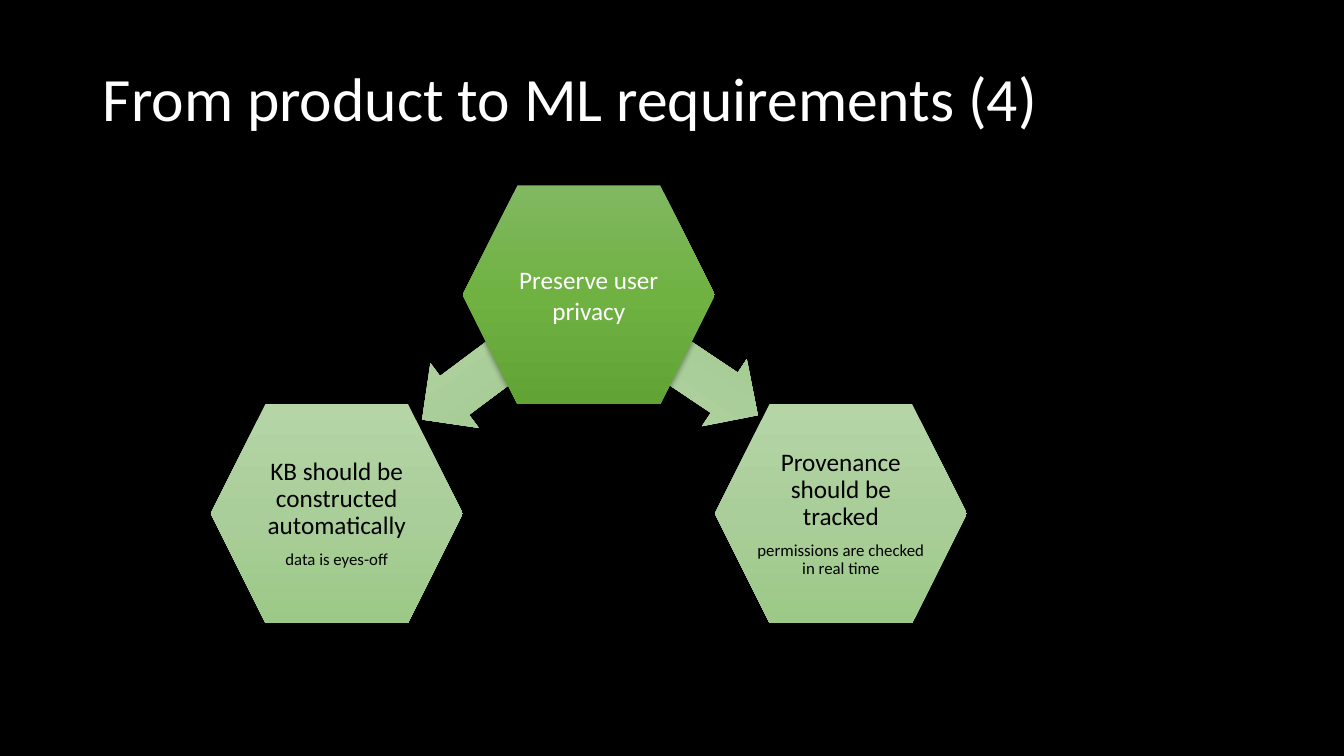
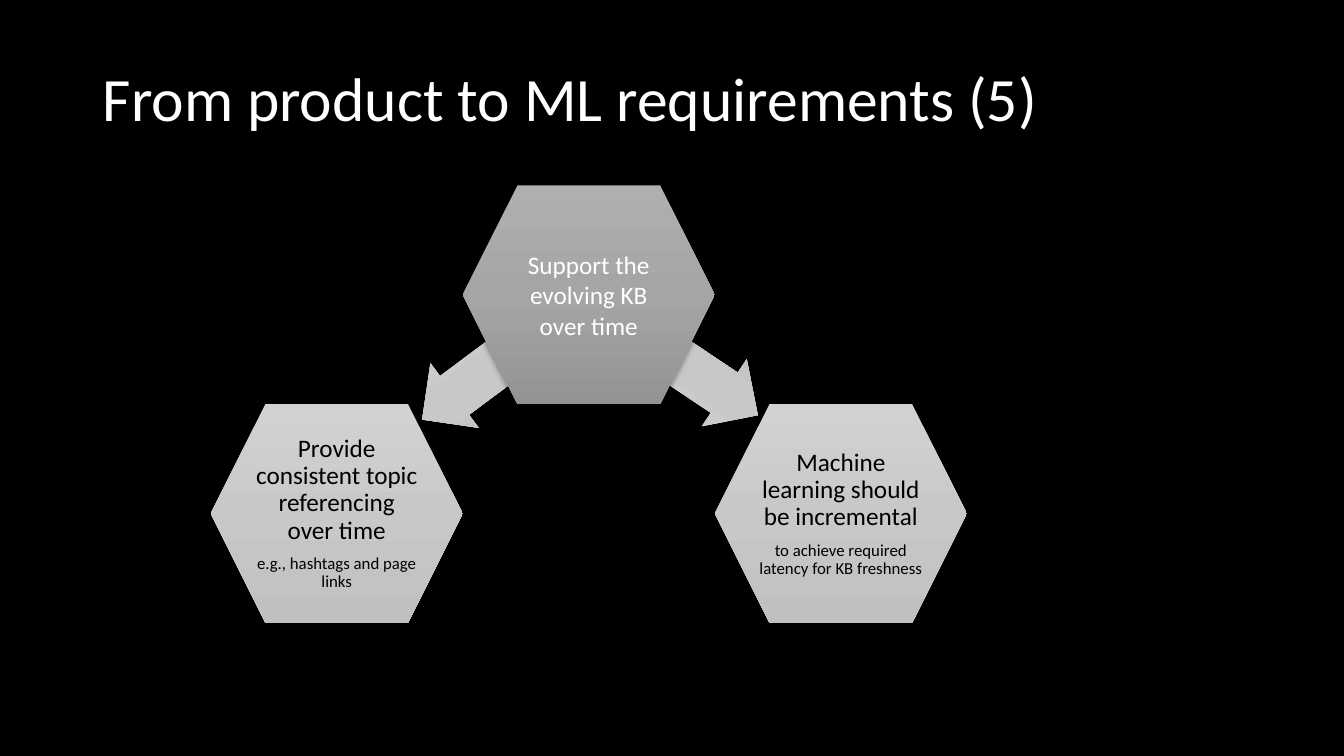
from copy import deepcopy
from dataclasses import dataclass

from lxml import etree
from pptx import Presentation
from pptx.dml.color import RGBColor
from pptx.enum import shapes, text
from pptx.oxml import ns
from pptx.util import Inches, Pt

FONT = "Calibri"
BLACK = RGBColor(0x00, 0x00, 0x00)
WHITE = RGBColor(0xFF, 0xFF, 0xFF)
GREEN = (RGBColor(0x81, 0xB8, 0x61), RGBColor(0x6F, 0xB2, 0x42), RGBColor(0x62, 0xA3, 0x36))
PALE_GREEN = (RGBColor(0xB5, 0xD5, 0xA7), RGBColor(0xAA, 0xCE, 0x9A), RGBColor(0x9C, 0xC9, 0x87))
GRAY = (RGBColor(0xAF, 0xAF, 0xAF), RGBColor(0xA5, 0xA5, 0xA5), RGBColor(0x93, 0x93, 0x93))
PALE_GRAY = (RGBColor(0xD2, 0xD2, 0xD2), RGBColor(0xC8, 0xC8, 0xC8), RGBColor(0xC0, 0xC0, 0xC0))

HEX_WIDTH, HEX_HEIGHT = 2.5, 2.17
HEX_LEFT, HEX_TOP = 2.09, 1.84
TITLE_ONLY = 5


@dataclass
class Requirement:
    heading: str
    detail: str
    inset: float


@dataclass
class Diagram:
    title: str
    goal: str
    requirements: tuple[Requirement, Requirement]
    strong: tuple[RGBColor, ...]
    pale: tuple[RGBColor, ...]


@dataclass
class Arrow:
    left: float
    width: float
    rotation: float


ARROWS = (Arrow(4.07, 1.18, 323.3), Arrow(6.5, 1.11, 213.8))
DIAGRAMS = (
    Diagram(
        "From product to ML requirements (4)",
        "Preserve user privacy",
        (
            Requirement("KB should be constructed automatically", "data is eyes-off", 0.1),
            Requirement("Provenance should be tracked",
                        "permissions are checked\vin real time", 0),
        ),
        GREEN,
        PALE_GREEN,
    ),
    Diagram(
        "From product to ML requirements (5)",
        "Support the evolving KB over time",
        (
            Requirement("Provide consistent topic referencing over time",
                        "e.g., hashtags and page links", 0.04),
            Requirement("Machine learning should be incremental",
                        "to achieve required latency for KB freshness", 0),
        ),
        GRAY,
        PALE_GRAY,
    ),
)


def write(para, words: str, *, size: float, color: RGBColor = BLACK,
          align=text.PP_ALIGN.CENTER, spacing: float = 0.9, after: float = 0) -> None:
    """Put formatted words into a paragraph."""
    para.text = words
    para.alignment = align
    para.line_spacing = spacing
    para.space_before = Pt(0)
    para.space_after = Pt(after)
    para.font.name = FONT
    para.font.size = Pt(size)
    para.font.color.rgb = color


def add_soft_shadow(shape) -> None:
    """Give a shape a faint shadow falling straight down."""
    shape.shadow.inherit = False
    effects = shape._element.spPr.find(ns.qn("a:effectLst"))
    shadow = etree.SubElement(effects, ns.qn("a:outerShdw"), blurRad=str(Pt(3.5)),
                              dist=str(Pt(2.2)), dir="5400000", algn="ctr", rotWithShape="0")
    color = etree.SubElement(shadow, ns.qn("a:srgbClr"), val=str(BLACK))
    etree.SubElement(color, ns.qn("a:alpha"), val="32000")


def fill_gradient(shape, colors: tuple[RGBColor, ...]) -> None:
    """Fill a shape from top to bottom with evenly spaced colours."""
    shape.fill.gradient()
    shape.fill.gradient_angle = 270
    stop_list = shape._element.spPr.find(ns.qn("a:gradFill")).find(ns.qn("a:gsLst"))
    stop_list.append(deepcopy(stop_list[0]))
    for index, (stop, color) in enumerate(zip(shape.fill.gradient_stops, colors)):
        stop.position = index / (len(colors) - 1)
        stop.color.rgb = color


def add_block(page, kind, left: float, top: float, width: float, height: float,
              colors: tuple[RGBColor, ...]):
    """Add a borderless gradient shape."""
    shape = page.shapes.add_shape(kind, Inches(left), Inches(top), Inches(width), Inches(height))
    fill_gradient(shape, colors)
    shape.line.fill.background()
    add_soft_shadow(shape)
    return shape


def add_hexagon(page, column: int, row: int, colors: tuple[RGBColor, ...], inset: float = 0.1):
    """Add a hexagon on the diagram grid and return its text frame."""
    shape = add_block(page, shapes.MSO_SHAPE.HEXAGON, HEX_LEFT + column * HEX_WIDTH,
                      HEX_TOP + row * HEX_HEIGHT, HEX_WIDTH, HEX_HEIGHT, colors)
    frame = shape.text_frame
    frame.word_wrap = True
    frame.vertical_anchor = text.MSO_ANCHOR.MIDDLE
    frame.margin_left = frame.margin_right = Inches(inset)
    frame.margin_top = frame.margin_bottom = Inches(0.05)
    return frame


def add_title(page, words: str) -> None:
    """Place and format the slide title."""
    title = page.shapes.title
    title.left, title.top = Inches(0.92), Inches(0.28)
    title.width, title.height = Inches(11.5), Inches(1.45)
    title.text_frame.auto_size = text.MSO_AUTO_SIZE.NONE
    title.text_frame.vertical_anchor = text.MSO_ANCHOR.MIDDLE
    write(title.text_frame.paragraphs[0], words, size=44, color=WHITE, align=text.PP_ALIGN.LEFT)


def add_diagram(deck, diagram: Diagram) -> None:
    """Add a slide with one goal leading to two requirements."""
    page = deck.slides.add_slide(deck.slide_layouts[TITLE_ONLY])
    add_title(page, diagram.title)
    for arrow in ARROWS:
        shape = add_block(page, shapes.MSO_SHAPE.LEFT_ARROW, arrow.left, 3.41,
                          arrow.width, 0.8, diagram.pale)
        shape.adjustments[0] = 0.6
        shape.rotation = arrow.rotation
    goal = add_hexagon(page, 1, 0, diagram.strong)
    write(goal.paragraphs[0], diagram.goal, size=18, color=WHITE, spacing=1)
    for column, requirement in zip((0, 2), diagram.requirements):
        frame = add_hexagon(page, column, 1, diagram.pale, requirement.inset)
        write(frame.paragraphs[0], requirement.heading, size=18, after=7.6)
        write(frame.add_paragraph(), requirement.detail, size=12)


def main() -> None:
    """Build and save the deck."""
    deck = Presentation()
    deck.slide_width, deck.slide_height = Inches(13.33), Inches(7.5)
    backdrop = deck.slide_master.background.fill
    backdrop.solid()
    backdrop.fore_color.rgb = BLACK
    for diagram in DIAGRAMS:
        add_diagram(deck, diagram)
    deck.save("out.pptx")


if __name__ == "__main__":
    main()
